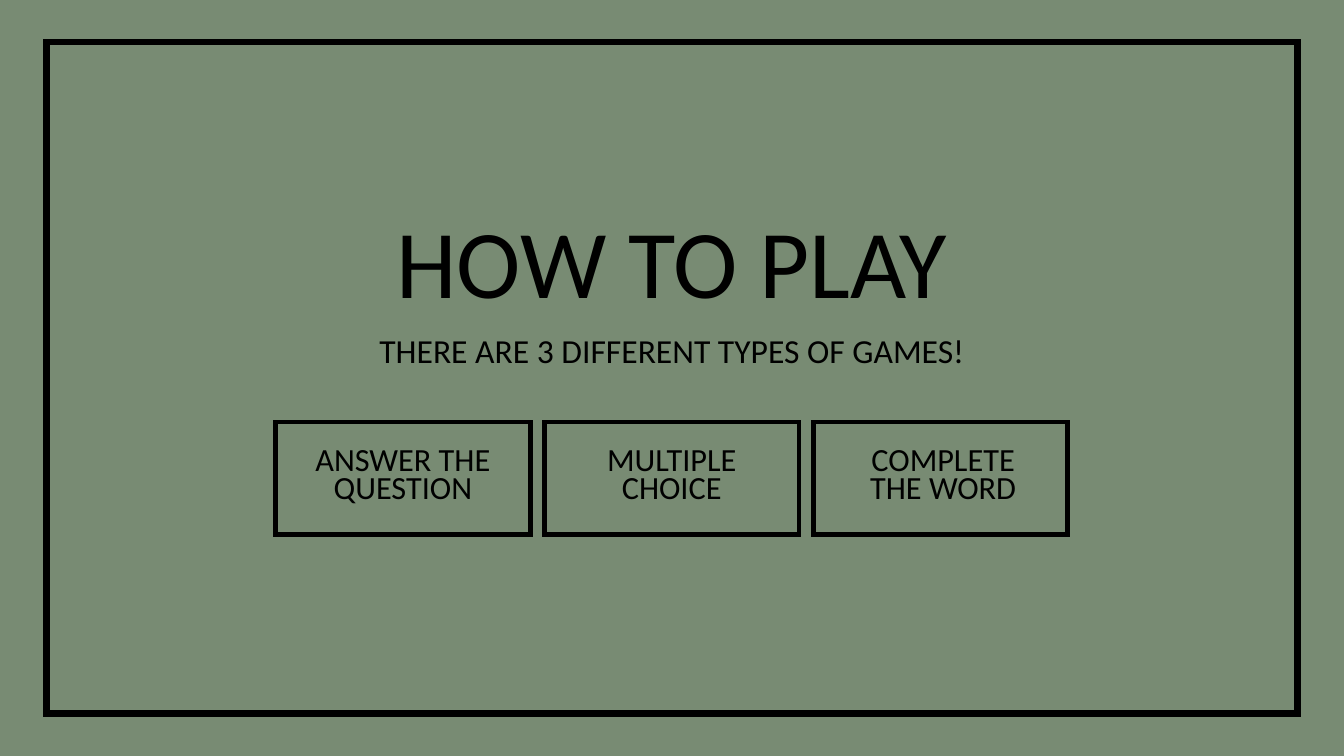
from lxml import etree
from pptx import Presentation
from pptx.dml.color import RGBColor
from pptx.enum.shapes import MSO_SHAPE as SHAPE
from pptx.enum.text import MSO_ANCHOR as ANCHOR, PP_ALIGN as ALIGN
from pptx.oxml.ns import qn
from pptx.util import Inches, Pt

GREEN = "788B73"
BLACK = "000000"
FONT = "Calibri"
CARDS = [
    (["ANSWER THE", "QUESTION"], 4.26, 3.47),
    (["MULTIPLE", "CHOICE"], 8.39, 3.21),
    (["COMPLETE", "THE WORD"], 12.4, 3.27),
]
CARD_LEFT, CARD_TOP, CARD_W, CARD_H = 4.1, 6.28, 3.79, 1.68
CARD_PITCH = 4.0


def color(hex_code):
    return RGBColor.from_string(hex_code)


def place(sp, x, y, w, h):
    sp.left, sp.top, sp.width, sp.height = map(Inches, (x, y, w, h))


def add_box(slide, x, y, w, h, line_width, fill=None):
    """Add a sharp-cornered rectangle with a black outline."""
    sp = slide.shapes.add_shape(SHAPE.RECTANGLE, *map(Inches, (x, y, w, h)))
    sp.shadow.inherit = False
    if fill:
        sp.fill.solid()
        sp.fill.fore_color.rgb = color(fill)
    else:
        sp.fill.background()
    sp.line.color.rgb = color(BLACK)
    sp.line.width = Pt(line_width)
    ln = sp.line._get_or_add_ln()
    etree.SubElement(ln, qn("a:miter"), lim="800000")


def set_text(sp, lines, size, spacing):
    """Write centred lines without margins."""
    tf = sp.text_frame
    tf.word_wrap = True
    tf.vertical_anchor = ANCHOR.TOP
    tf.margin_left = tf.margin_top = tf.margin_right = tf.margin_bottom = 0
    tf.text = "\n".join(lines)
    for p in tf.paragraphs:
        p.alignment = ALIGN.CENTER
        p.line_spacing = Pt(spacing)
        p.space_before = Pt(0)
        p.font.name = FONT
        p.font.size = Pt(size)
        p.font.color.rgb = color(BLACK)


def add_text(slide, x, y, w, h, lines, size, spacing):
    sp = slide.shapes.add_textbox(*map(Inches, (x, y, w, h)))
    set_text(sp, lines, size, spacing)


def main():
    prs = Presentation()
    prs.slide_width, prs.slide_height = Inches(20), Inches(11.25)
    slide = prs.slides.add_slide(prs.slide_layouts[5])
    slide.background.fill.solid()
    slide.background.fill.fore_color.rgb = color(GREEN)

    # Frame
    add_box(slide, 0.69, 0.63, 18.62, 9.99, 6.75)

    # Title and subtitle
    title = slide.shapes.title
    place(title, 3.89, 3.45, 12.21, 1.57)
    set_text(title, ["HOW TO PLAY"], 104, 92.5)
    add_text(slide, 3.35, 5.07, 13.3, 0.55,
             ["THERE ARE 3 DIFFERENT TYPES OF GAMES!"], 36, 32)

    # Game type cards
    for i, (lines, x, w) in enumerate(CARDS):
        add_box(slide, CARD_LEFT + i * CARD_PITCH, CARD_TOP, CARD_W, CARD_H, 5.25, GREEN)
        add_text(slide, x, 6.68, w, 0.93, lines, 34.6, 30.8)

    prs.save("out.pptx")


if __name__ == "__main__":
    main()
